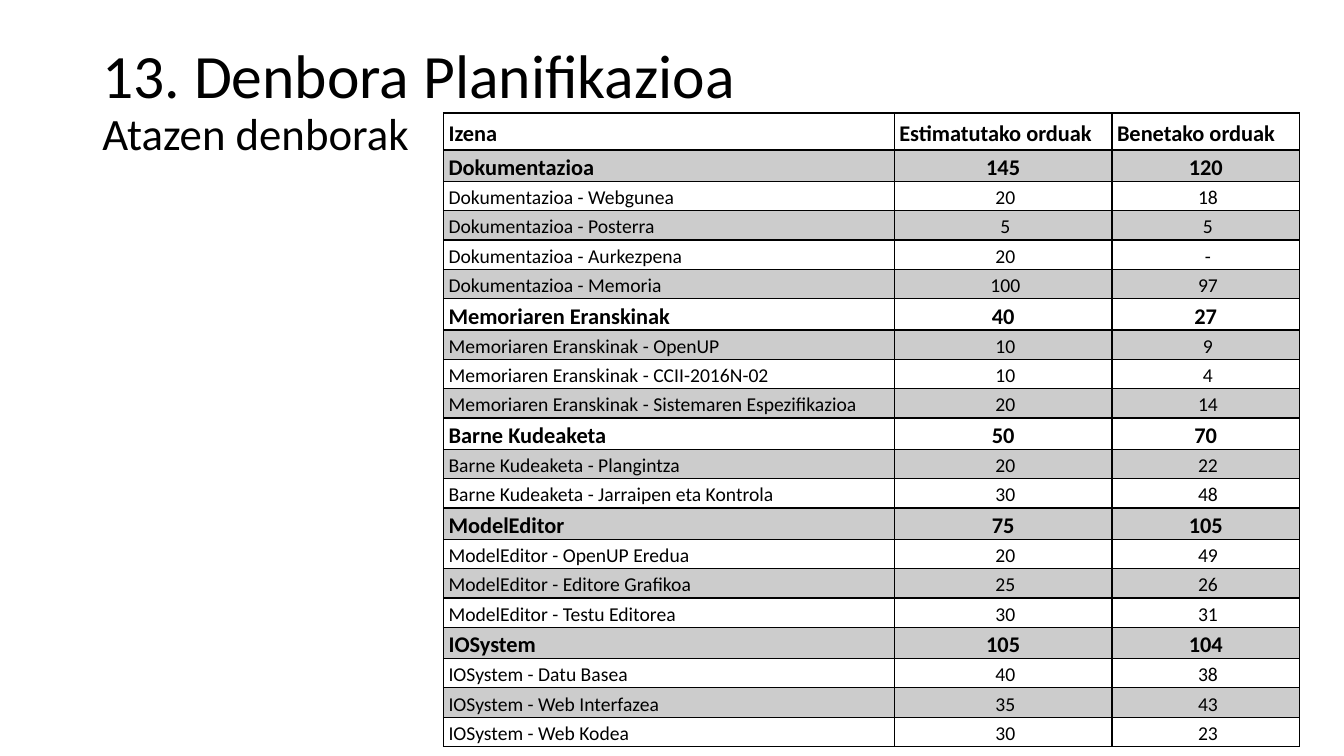
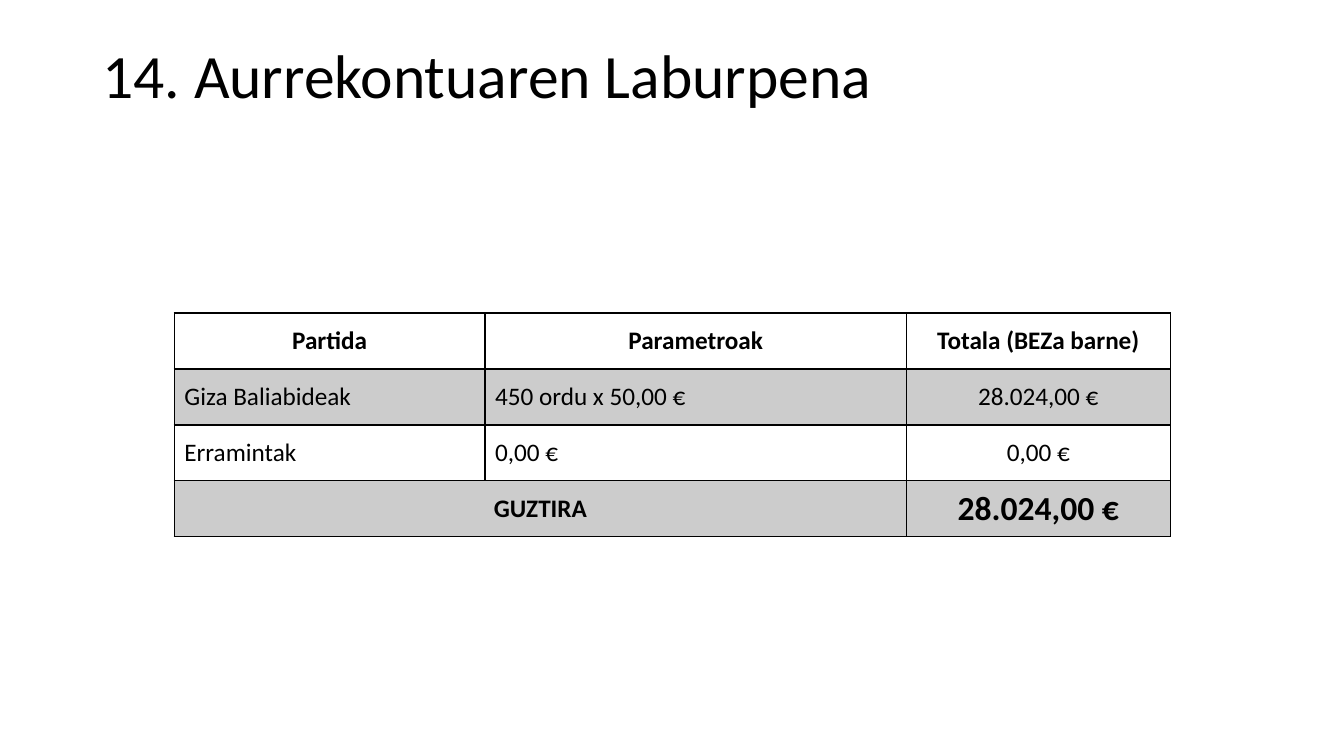
from lxml.etree import SubElement
from pptx import Presentation
from pptx.dml.color import RGBColor
from pptx.enum.text import MSO_ANCHOR, PP_ALIGN
from pptx.oxml.ns import qn
from pptx.util import Pt

BLACK = RGBColor(0x00, 0x00, 0x00)
GREY = RGBColor(0xCC, 0xCC, 0xCC)
FONT = "Calibri"
LEFT, MID = PP_ALIGN.LEFT, PP_ALIGN.CENTER

# Each group: name, estimated hours, real hours, tasks
GROUPS = [
    ("Dokumentazioa", "145", "120", [
        ("Webgunea", "20", "18"), ("Posterra", "5", "5"),
        ("Aurkezpena", "20", "-"), ("Memoria", "100", "97")]),
    ("Memoriaren Eranskinak", "40", "27", [
        ("OpenUP", "10", "9"), ("CCII-2016N-02", "10", "4"),
        ("Sistemaren Espezifikazioa", "20", "14")]),
    ("Barne Kudeaketa", "50", "70", [
        ("Plangintza", "20", "22"),
        ("Jarraipen eta Kontrola", "30", "48")]),
    ("ModelEditor", "75", "105", [
        ("OpenUP Eredua", "20", "49"), ("Editore Grafikoa", "25", "26"),
        ("Testu Editorea", "30", "31")]),
    ("IOSystem", "105", "104", [
        ("Datu Basea", "40", "38"), ("Web Interfazea", "35", "43"),
        ("Web Kodea", "30", "23")]),
]
COSTS = [
    ("Partida", "Parametroak", "Totala (BEZa barne)"),
    ("Giza Baliabideak", "450 ordu x 50,00 €", "28.024,00 €"),
    ("Erramintak", "0,00 €", "0,00 €"),
    ("GUZTIRA", "", "28.024,00 €"),
]


def add_run(para, text, size, bold=False):
    run = para.add_run()
    run.text = text
    run.font.name = FONT
    run.font.size = Pt(size)
    run.font.bold = bold
    run.font.color.rgb = BLACK


def add_title(slide, text, sub=None):
    box = slide.shapes.add_textbox(Pt(66), Pt(28.75), Pt(828), Pt(104.4))
    box.text_frame.word_wrap = True
    para = box.text_frame.paragraphs[0]
    para.line_spacing = 0.9
    add_run(para, text, 44)
    if sub:
        para.add_line_break()
        add_run(para, sub, 32)


def add_edge(cell, side, width):
    line = SubElement(cell._tc.get_or_add_tcPr(), qn(f"a:ln{side}"),
                      w=str(Pt(width)))
    fill = SubElement(line, qn("a:solidFill"))
    SubElement(fill, qn("a:srgbClr"), val=str(BLACK))


def add_grid(slide, left, top, cols, rows):
    """Table with a heavy rule under its head and every second row grey."""
    grid = slide.shapes.add_table(len(rows), len(cols), Pt(left), Pt(top),
                                  Pt(sum(cols)), Pt(sum(rows))).table
    grid.first_row = grid.horz_banding = False
    for col, width in zip(grid.columns, cols):
        col.width = Pt(width)
    for i, (row, height) in enumerate(zip(grid.rows, rows)):
        row.height = Pt(height)
        for cell in row.cells:
            cell.vertical_anchor = MSO_ANCHOR.MIDDLE
            for side in "LRTB":
                heavy = (i, side) in ((0, "B"), (1, "T"))
                add_edge(cell, side, 2 if heavy else 1)
            if i % 2:
                cell.fill.solid()
                cell.fill.fore_color.rgb = GREY
            else:
                cell.fill.background()
    return grid


def set_cell(cell, text, size, bold, align):
    para = cell.text_frame.paragraphs[0]
    para.alignment = align
    add_run(para, text, size, bold)
    return para


def add_hours(slide):
    # Flat list: bold flag, row height, texts
    lines = [(True, 26.5, ("Izena", "Estimatutako orduak", "Benetako orduak"))]
    for name, plan, real, tasks in GROUPS:
        lines.append((True, 22.3, (name, plan, real)))
        lines += [(False, 21, (f"{name} - {task}", *hours))
                  for task, *hours in tasks]
    grid = add_grid(slide, 316.8, 80.75, (322, 155.5, 134),
                    [height for _, height, _ in lines])
    for i, (bold, _, texts) in enumerate(lines):
        for j, text in enumerate(texts):
            cell = grid.cell(i, j)
            # Task hours sit slightly right of the group totals
            cell.margin_left = Pt(3.6 if bold or j == 0 else 6.8)
            cell.margin_right = Pt(3.6)
            cell.margin_top = cell.margin_bottom = Pt(0)
            para = set_cell(cell, text, 16 if bold else 14, bold,
                            MID if i and j else LEFT)
            para.line_spacing = 1.15
            para.space_after = Pt(6)


def add_costs(slide):
    grid = add_grid(slide, 124.5, 223.5, (222, 301, 188.5), [40] * len(COSTS))
    last = len(COSTS) - 1
    grid.cell(last, 0).merge(grid.cell(last, 1))
    for i, texts in enumerate(COSTS):
        bold = i in (0, last)
        for j, text in enumerate(texts):
            if text:
                set_cell(grid.cell(i, j), text,
                         24 if (i, j) == (last, 2) else 18, bold,
                         MID if bold or j == 2 else LEFT)


def main():
    deck = Presentation()
    deck.slide_width, deck.slide_height = Pt(960), Pt(540)
    blank = deck.slide_layouts[6]

    # Task hours
    slide = deck.slides.add_slide(blank)
    add_title(slide, "13. Denbora Planifikazioa", "Atazen denborak")
    add_hours(slide)

    # Budget
    slide = deck.slides.add_slide(blank)
    add_title(slide, "14. Aurrekontuaren Laburpena")
    add_costs(slide)

    deck.save("out.pptx")


if __name__ == "__main__":
    main()
